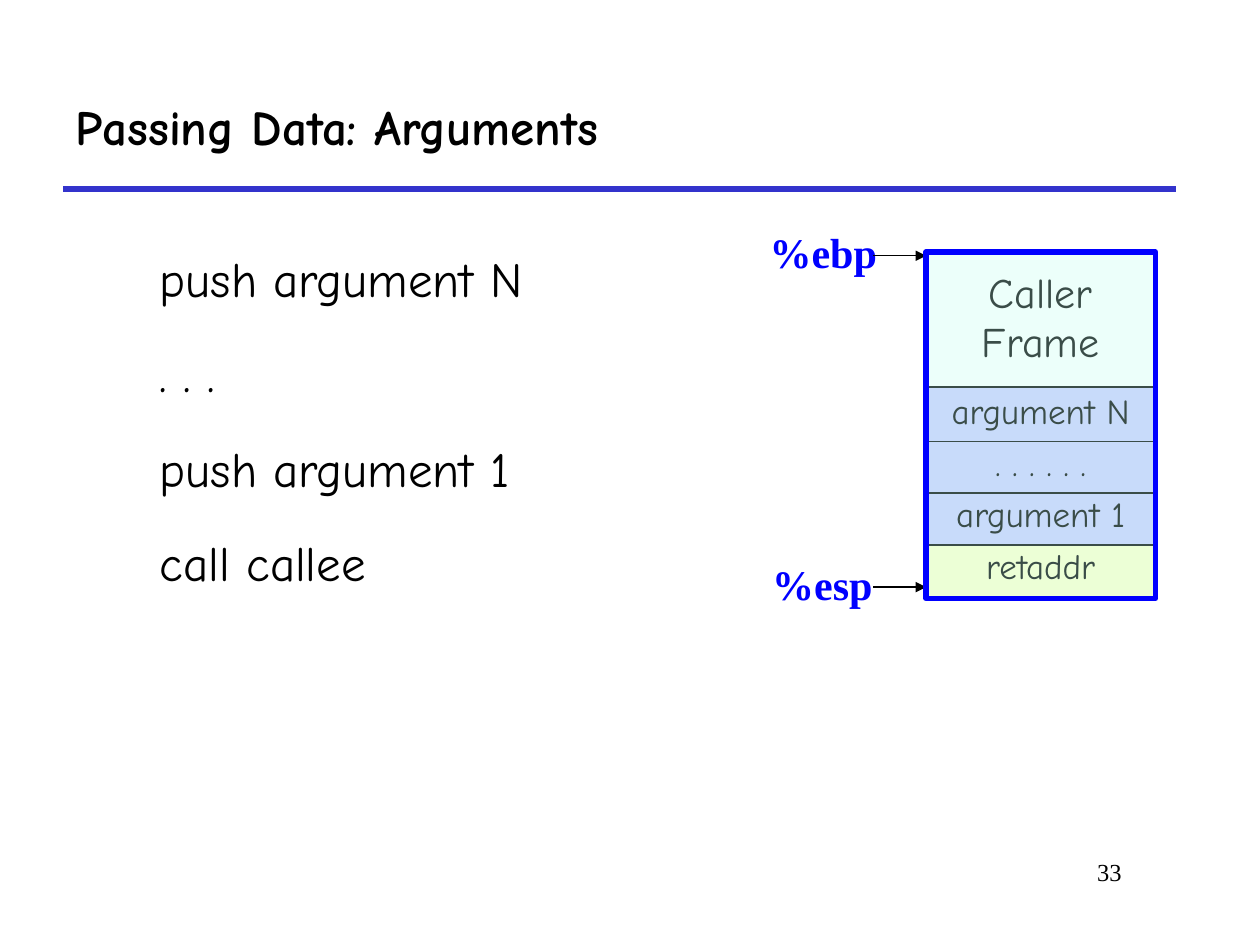
"""Build the slide on passing arguments through the stack."""
import dataclasses

import lxml.etree
import pptx
import pptx.dml.color
import pptx.enum.shapes
import pptx.enum.text
import pptx.oxml.ns
import pptx.shapes.connector
import pptx.slide
import pptx.text.text
import pptx.util

Inches = pptx.util.Inches
Pt = pptx.util.Pt
Align = pptx.enum.text.PP_ALIGN
qn = pptx.oxml.ns.qn

HAND = "Comic Neue"
SERIF = "Times New Roman"
STACK_LEFT, STACK_TOP, STACK_WIDTH, STACK_HEIGHT = 7.35, 2, 1.82, 2.75
SLOT_TOP, SLOT_PITCH, SLOT_HEIGHT = 3.07, 0.41, 0.43
REGISTER_WIDTH, REGISTER_HEIGHT = 1.12, 0.5


@dataclasses.dataclass(frozen=True)
class Style:
    font: str
    size: float
    color: str = "000000"
    bold: bool = False
    align: Align = Align.LEFT


@dataclasses.dataclass(frozen=True)
class Slot:
    text: str
    fill: str


@dataclasses.dataclass(frozen=True)
class Pointer:
    text: str
    left: float
    top: float
    arrow_y: float


TITLE = Style(HAND, 28, bold=True)
BODY = Style(HAND, 28)
SLOT = Style(HAND, 20, align=Align.CENTER)
FRAME = Style(HAND, 24, align=Align.CENTER)
REGISTER = Style(SERIF, 24, "0000FF", bold=True)
NUMBER = Style(SERIF, 14, align=Align.RIGHT)

STEPS = ["push argument N", ". . .", "push argument 1", "call callee"]
SLOTS = [
    Slot("argument N", "CCCCFF"),
    Slot(". . . . . .", "CCCCFF"),
    Slot("argument 1", "CCCCFF"),
    Slot("retaddr", "FFFFCC"),
]
POINTERS = [
    Pointer("%ebp", 6.01, 1.75, 2.03),
    Pointer("%esp", 6.03, 4.38, 4.66),
]


def rgb(color: str) -> pptx.dml.color.RGBColor:
    return pptx.dml.color.RGBColor.from_string(color)


def write(frame: pptx.text.text.TextFrame, text: str, style: Style) -> None:
    frame.text = text
    for para in frame.paragraphs:
        para.alignment = style.align
        for span in para.runs:
            span.font.name = style.font
            span.font.size = Pt(style.size)
            span.font.bold = style.bold
            span.font.color.rgb = rgb(style.color)


def add_text(page: pptx.slide.Slide, text: str, style: Style, left: float, top: float,
             width: float, height: float) -> pptx.text.text.TextFrame:
    box = page.shapes.add_textbox(Inches(left), Inches(top), Inches(width), Inches(height))
    box.text_frame.word_wrap = True
    write(box.text_frame, text, style)
    return box.text_frame


def add_line(page: pptx.slide.Slide, start: float, end: float, y: float,
             color: str, weight: float) -> pptx.shapes.connector.Connector:
    line = page.shapes.add_connector(
        pptx.enum.shapes.MSO_CONNECTOR.STRAIGHT, Inches(start), Inches(y), Inches(end), Inches(y))
    line.line.color.rgb = rgb(color)
    line.line.width = Pt(weight)
    lxml.etree.SubElement(line._element.spPr, qn("a:effectLst"))
    return line


def add_cell(page: pptx.slide.Slide, text: str, style: Style, top: float, height: float,
             fill: str = "", margin_top: float = 0.05) -> None:
    table = page.shapes.add_table(
        1, 1, Inches(STACK_LEFT), Inches(top), Inches(STACK_WIDTH), Inches(height)).table
    table.first_row = table.horz_banding = False
    cell = table.cell(0, 0)
    cell.margin_top = Inches(margin_top)
    write(cell.text_frame, text, style)
    properties = cell._tc.get_or_add_tcPr()
    for side in ("a:lnL", "a:lnR", "a:lnT", "a:lnB"):
        border = lxml.etree.SubElement(properties, qn(side), w=str(Pt(1.08)))
        paint = lxml.etree.SubElement(border, qn("a:solidFill"))
        lxml.etree.SubElement(paint, qn("a:srgbClr"), val="000000")
    if fill:
        cell.fill.solid()
        cell.fill.fore_color.rgb = rgb(fill)
    else:
        cell.fill.background()


def add_pointer(page: pptx.slide.Slide, pointer: Pointer) -> None:
    add_text(page, pointer.text, REGISTER, pointer.left, pointer.top,
             REGISTER_WIDTH, REGISTER_HEIGHT)
    arrow = add_line(page, 6.93, STACK_LEFT, pointer.arrow_y, "000000", 0.75)
    lxml.etree.SubElement(arrow.line._get_or_add_ln(), qn("a:tailEnd"), type="triangle")


def add_stack(page: pptx.slide.Slide) -> None:
    for index, slot in reversed(list(enumerate(SLOTS))):
        add_cell(page, slot.text, SLOT, SLOT_TOP + index * SLOT_PITCH, SLOT_HEIGHT, slot.fill)
    add_cell(page, "Caller\vFrame", FRAME, STACK_TOP, STACK_HEIGHT, margin_top=0.15)
    outline = page.shapes.add_shape(
        pptx.enum.shapes.MSO_SHAPE.RECTANGLE, Inches(STACK_LEFT), Inches(STACK_TOP),
        Inches(STACK_WIDTH), Inches(STACK_HEIGHT))
    outline.shadow.inherit = False
    outline.fill.solid()
    outline.fill.fore_color.rgb = rgb("C2FFF0")
    tint = outline._element.spPr.find(qn("a:solidFill"))[0]
    lxml.etree.SubElement(tint, qn("a:alpha"), val="30000")
    outline.line.color.rgb = rgb("0000FF")
    outline.line.width = Pt(3)


def main() -> None:
    deck = pptx.Presentation()
    deck.slide_width, deck.slide_height = Inches(10), Inches(7.5)
    page = deck.slides.add_slide(deck.slide_layouts.get_by_name("Title Only"))

    title = page.shapes.title
    title.left, title.top = Inches(0.5), Inches(0.5)
    title.width, title.height = Inches(8.83), Inches(1)
    title.text_frame.vertical_anchor = pptx.enum.text.MSO_ANCHOR.MIDDLE
    write(title.text_frame, "Passing Data: Arguments", TITLE)
    add_line(page, 0.5, 9.33, 1.5, "3333CC", 3)

    body = add_text(page, "\n".join(STEPS), BODY, 1.17, 1.74, 8.5, 4.83)
    for index, para in enumerate(body.paragraphs):
        para.line_spacing = 1.4
        para.space_before = Pt(7 if index else 0)

    for pointer in POINTERS:
        add_pointer(page, pointer)
    add_stack(page)
    add_text(page, "33", NUMBER, 7.58, 6.75, 1.42, 0.5)
    deck.save("out.pptx")


if __name__ == "__main__":
    main()
